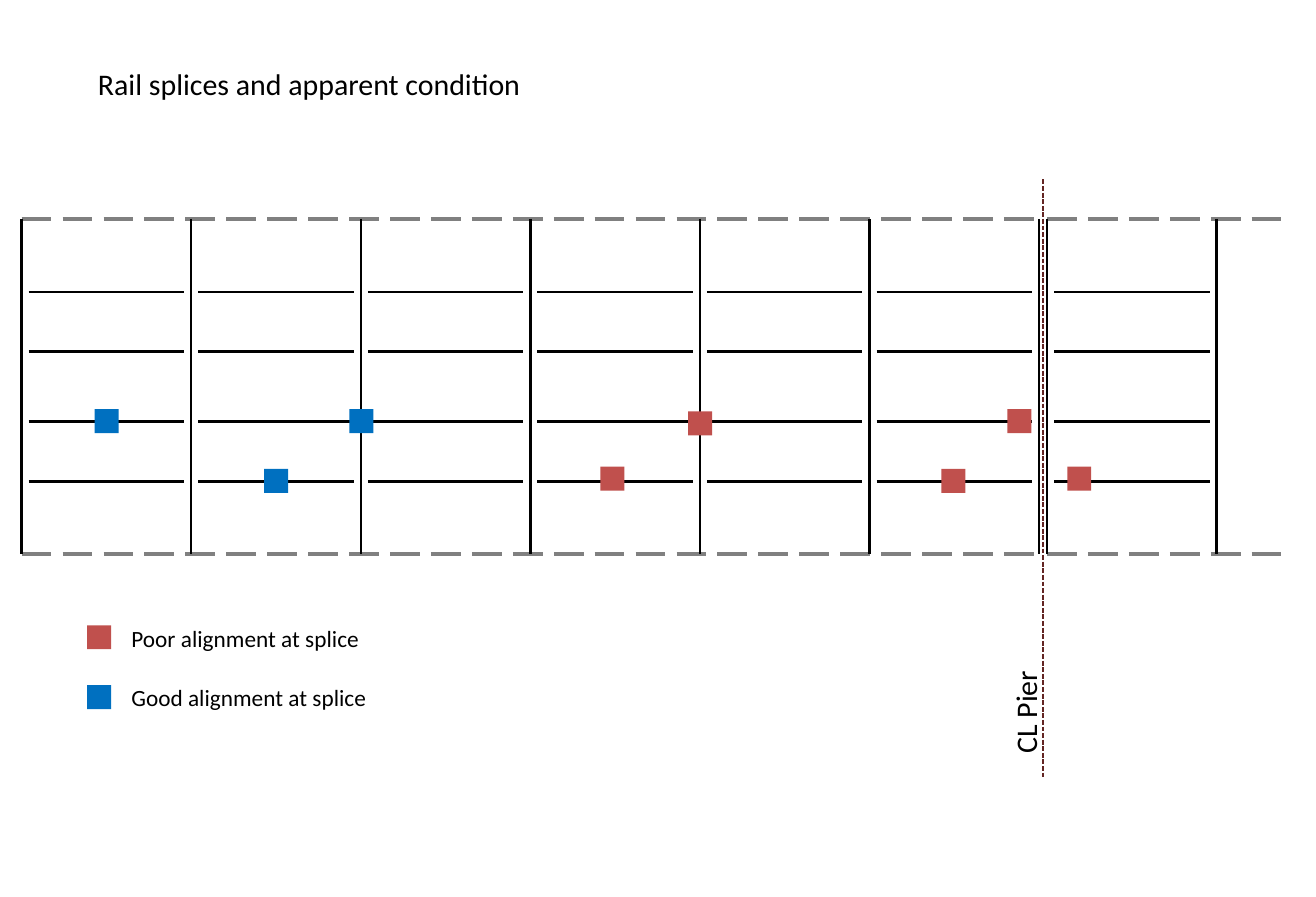
import pptx
import pptx.util
import pptx.dml.color
import pptx.enum.dml
import pptx.enum.shapes
import pptx.enum.text
from pptx.util import Cm

BLACK, GREY, MAROON = "000000", "808080", "632523"
POOR, GOOD = "C0504D", "0070C0"
DASH = pptx.enum.dml.MSO_LINE

# Rail plan, in centimetres
TOP, BOTTOM = 4.65, 11.77
PANEL, GAP = 3.6, 0.15
RAILS = (6.2, 7.47, 8.95, 10.23)
MARKER = 0.51

# Left and top of each splice
SPLICES = {
    POOR: [(19.99, 9.96), (22.66, 9.91), (21.39, 8.69), (12.75, 9.91), (14.61, 8.74)],
    GOOD: [(2.01, 8.69), (5.61, 9.96), (7.42, 8.69)],
}
LEGEND = [(POOR, "Poor alignment at splice"), (GOOD, "Good alignment at splice")]


def rgb(value):
    return pptx.dml.color.RGBColor.from_string(value)


def add_line(shapes, x1, y1, x2, y2, color=BLACK, width=1.5, dash=None):
    kind = pptx.enum.shapes.MSO_CONNECTOR.STRAIGHT
    c = shapes.add_connector(kind, Cm(x1), Cm(y1), Cm(x2), Cm(y2))
    c.line.color.rgb = rgb(color)
    c.line.width = pptx.util.Pt(width)
    if dash is not None:
        c.line.dash_style = dash
    c._element.spPr.append(pptx.oxml.parse_xml(
        '<a:effectLst xmlns:a="http://schemas.openxmlformats.org/drawingml/2006/main"/>'))


def add_marker(s, x, y, color):
    kind = pptx.enum.shapes.MSO_SHAPE.RECTANGLE
    sp = s.shapes.add_shape(kind, Cm(x), Cm(y), Cm(MARKER), Cm(MARKER))
    sp.shadow.inherit = False
    sp.fill.solid()
    sp.fill.fore_color.rgb = rgb(color)
    sp.line.fill.background()


def add_text(s, text, x, y, w, h, size=18, rotation=0, margins=(0.25, 0.13, 0.25, 0.13)):
    sp = s.shapes.add_textbox(Cm(x), Cm(y), Cm(w), Cm(h))
    sp.rotation = rotation
    tf = sp.text_frame
    tf.word_wrap = True
    tf.auto_size = pptx.enum.text.MSO_AUTO_SIZE.SHAPE_TO_FIT_TEXT
    tf.margin_left, tf.margin_top, tf.margin_right, tf.margin_bottom = map(Cm, margins)
    r = tf.paragraphs[0].add_run()
    r.text = text
    r.font.size = pptx.util.Pt(size)
    r.font.name = "Calibri"
    r.font.color.rgb = rgb(BLACK)


def add_span(s, left, panels, edge_length):
    shapes = s.shapes.add_group_shape().shapes
    # Deck edges
    for y in (TOP, BOTTOM):
        add_line(shapes, left, y, left + edge_length, y, GREY, 2.25, DASH.LONG_DASH)
    # Posts
    for i in range(panels + 1):
        x = left + i * PANEL
        add_line(shapes, x, TOP, x, BOTTOM)
    # Rails between posts
    for i in range(panels):
        x = left + i * PANEL
        for y in RAILS:
            add_line(shapes, x + GAP, y, x + PANEL - GAP, y)


def main():
    prs = pptx.Presentation()
    prs.slide_width, prs.slide_height = Cm(27.94), Cm(19.05)
    s = prs.slides.add_slide(prs.slide_layouts[6])

    # Spans on both sides of the pier
    add_span(s, 0.46, 6, 6 * PANEL)
    add_span(s, 22.23, 1, 5.08)

    # Pier centre line
    add_line(s.shapes, 22.15, 3.81, 22.15, 16.51, MAROON, 1, DASH.SQUARE_DOT)
    add_text(s, "CL Pier", 19.96, 14.33, 3.61, 0.76, rotation=270,
             margins=(0.51, 0, 0.25, 0))

    # Title
    add_text(s, "Rail splices and apparent condition", 1.83, 1.27, 11.2, 1.02)

    # Splices
    for color, places in SPLICES.items():
        for x, y in places:
            add_marker(s, x, y, color)

    # Legend
    for i, (color, label) in enumerate(LEGEND):
        y = 13.28 + i * 1.27
        add_marker(s, 1.85, y, color)
        add_text(s, label, 2.54, y - 0.16, 6.93, 0.86, size=14)

    prs.save("out.pptx")


main()
